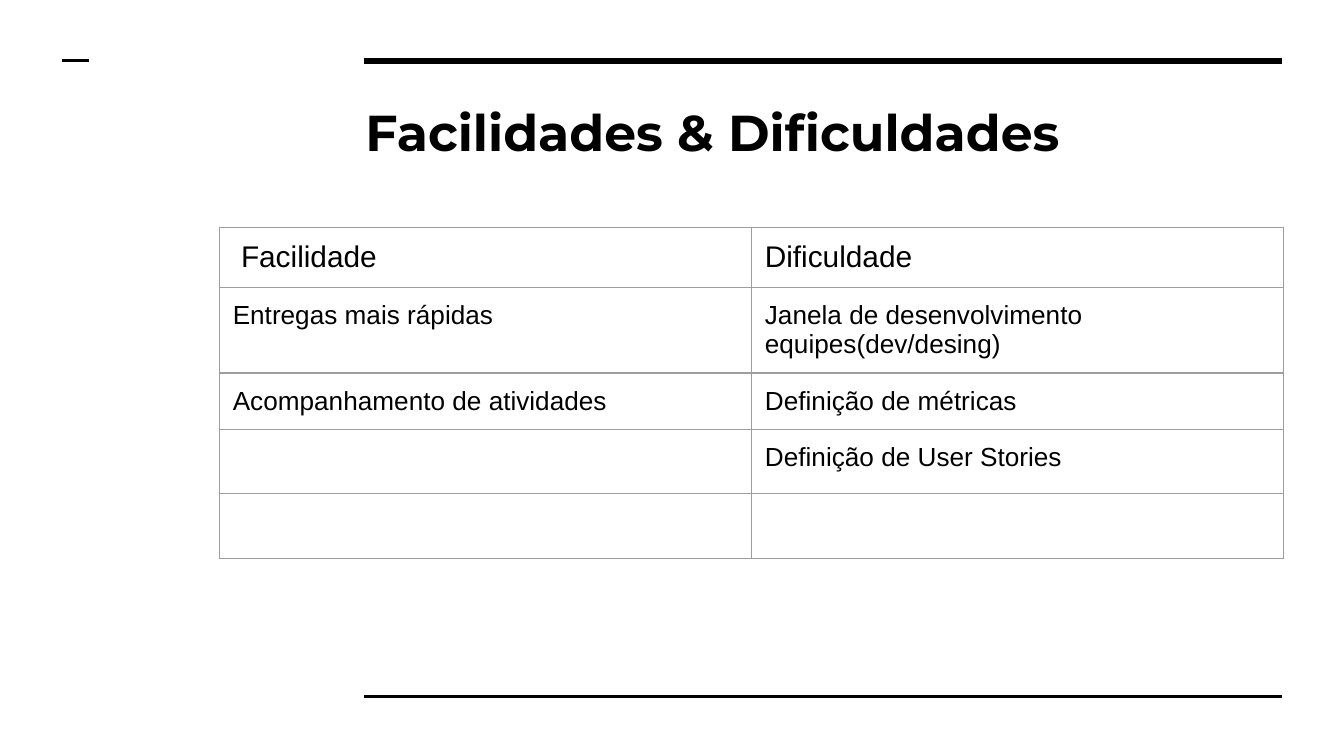
from lxml.etree import SubElement
from pptx import Presentation
from pptx.dml.color import RGBColor
from pptx.enum.shapes import MSO_CONNECTOR
from pptx.enum.text import MSO_ANCHOR, PP_ALIGN
from pptx.oxml.ns import qn
from pptx.util import Pt

COLORS = {"ink": "000000", "paper": "FFFFFF", "border": "9E9E9E"}
TITLE = "Facilidades & Dificuldades"
ROWS = [  # height, font size, cell texts
    (32, 16, (" Facilidade", "Dificuldade")),
    (45.8, 14, ("Entregas mais rápidas",
                "Janela de desenvolvimento equipes(dev/desing)")),
    (30, 14, ("Acompanhamento de atividades", "Definição de métricas")),
    (34.6, 14, ("", "Definição de User Stories")),
    (34.6, 14, ("", "")),
]
RULES = [  # left, right, y, width
    (195, 686.9, 32.6, 3),
    (195, 686.9, 373, 1.5),
    (33.5, 47.9, 32.6, 1.5),
]
TABLE_LEFT, TABLE_TOP, COLUMN_WIDTH = 117.5, 121.7, 285.1
INSET = 7.2


def color(name):
    """Return the named colour."""
    return RGBColor.from_string(COLORS[name])


def set_insets(target):
    """Give a text frame or cell equal margins."""
    target.margin_left = target.margin_right = Pt(INSET)
    target.margin_top = target.margin_bottom = Pt(INSET)


def style_font(font, name, size, bold=False):
    """Set face, size and weight in the ink colour."""
    font.name, font.size, font.bold = name, Pt(size), bold
    font.color.rgb = color("ink")


def add_rule(page, left, right, y, width):
    """Draw a horizontal rule."""
    rule = page.shapes.add_connector(
        MSO_CONNECTOR.STRAIGHT, Pt(left), Pt(y), Pt(right), Pt(y))
    rule.line.color.rgb = color("ink")
    rule.line.width = Pt(width)
    SubElement(rule._element.spPr, qn("a:effectLst"))


def add_borders(cell):
    """Put a thin border on all four sides of a cell."""
    properties = cell._tc.get_or_add_tcPr()
    for side in ("lnL", "lnR", "lnT", "lnB"):
        line = SubElement(properties, qn(f"a:{side}"), w=str(Pt(0.75)))
        fill = SubElement(line, qn("a:solidFill"))
        SubElement(fill, qn("a:srgbClr"), val=COLORS["border"])


def add_title(page):
    """Place and format the title placeholder."""
    title = page.shapes.title
    title.left, title.top = Pt(188.6), Pt(45.4)
    title.width, title.height = Pt(497.5), Pt(49.7)
    frame = title.text_frame
    frame.text = TITLE
    frame.word_wrap = True
    frame.vertical_anchor = MSO_ANCHOR.MIDDLE
    set_insets(frame)
    paragraph = frame.paragraphs[0]
    paragraph.alignment = PP_ALIGN.LEFT
    style_font(paragraph.runs[0].font, "Montserrat", 27, bold=True)


def add_comparison(page):
    """Build the two-column table."""
    columns = len(ROWS[0][2])
    table = page.shapes.add_table(
        len(ROWS), columns, Pt(TABLE_LEFT), Pt(TABLE_TOP),
        Pt(COLUMN_WIDTH * columns), Pt(sum(row[0] for row in ROWS))).table
    table.first_row = table.horz_banding = False
    for column in table.columns:
        column.width = Pt(COLUMN_WIDTH)
    for row, (height, size, texts) in zip(table.rows, ROWS):
        row.height = Pt(height)
        for cell, text in zip(row.cells, texts):
            set_insets(cell)
            add_borders(cell)
            cell.fill.background()
            paragraph = cell.text_frame.paragraphs[0]
            paragraph.text = text
            if not text:
                SubElement(paragraph._p, qn("a:endParaRPr"), sz=str(size * 100))
            for span in paragraph.runs:
                style_font(span.font, "Arial", size)


deck = Presentation()
deck.slide_width, deck.slide_height = Pt(720), Pt(405)
page = deck.slides.add_slide(deck.slide_layouts[5])
page.background.fill.solid()
page.background.fill.fore_color.rgb = color("paper")
for rule_values in RULES:
    add_rule(page, *rule_values)
add_title(page)
add_comparison(page)
deck.save("out.pptx")
